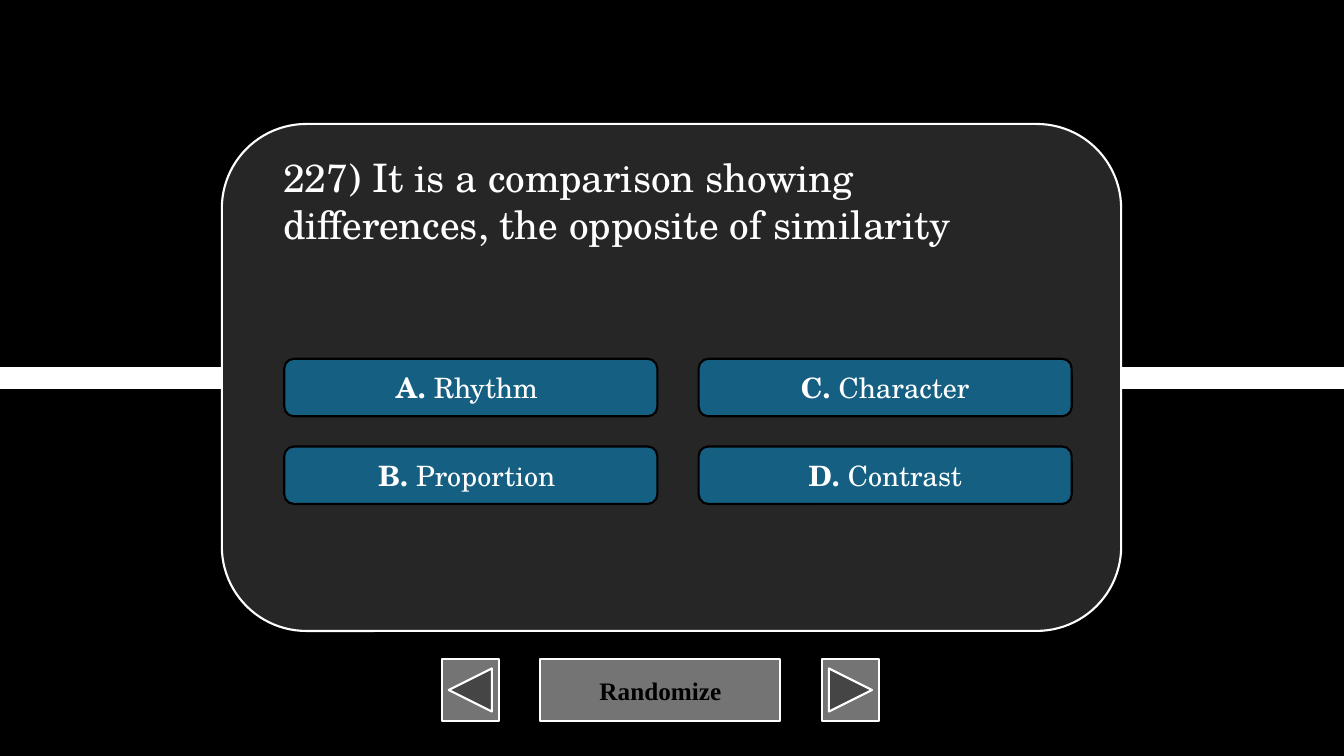
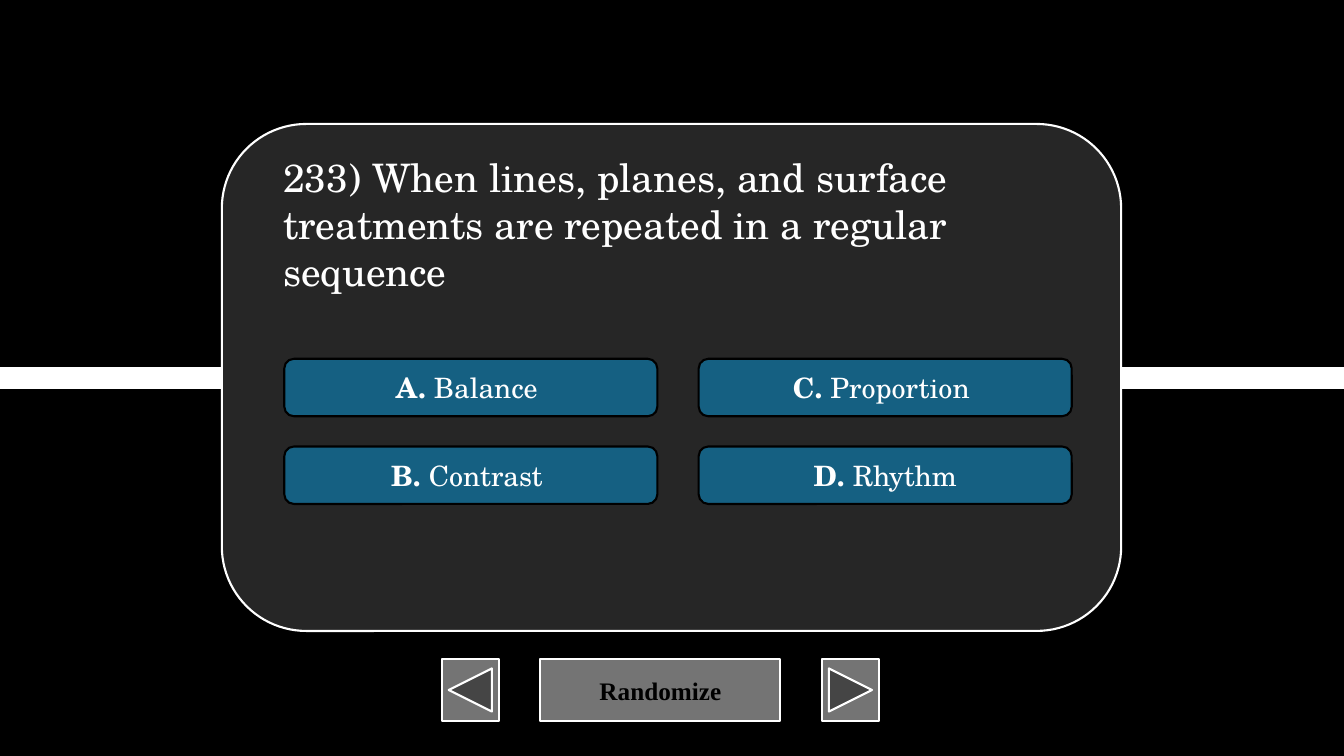
from lxml.etree import SubElement
from pptx import Presentation
from pptx.dml.color import RGBColor
from pptx.enum.shapes import MSO_CONNECTOR, MSO_SHAPE as Shape
from pptx.enum.text import MSO_ANCHOR as Anchor, MSO_AUTO_SIZE as AutoSize, PP_ALIGN as Align
from pptx.oxml.ns import qn
from pptx.util import Inches, Pt

COLORS = {
    "background": "000000",
    "card": "262626",
    "answer": "156082",
    "control": "747474",
    "light": "FFFFFF",
    "dark": "000000",
}
QUIZ_FONT = "TeX Gyre Schola"
CONTROL_FONT = "Times New Roman"
SLIDE_WIDTH, SLIDE_HEIGHT = 13.33, 7.5
CARD_BOX = (2.2, 1.23, 8.92, 5.03)
CONTROLS_BOX = (4.38, 6.54, 4.34, 0.61)

QUESTIONS = [
    ("227) It is a comparison showing differences, the opposite of similarity", 1.04,
     ["Rhythm ", "Proportion ", "Character", "Contrast"]),
    ("233) When lines, planes, and surface treatments are repeated in a regular sequence", 1.51,
     ["Balance ", "Contrast ", "Proportion ", "Rhythm"]),
]


def color(name):
    return RGBColor.from_string(COLORS[name])


def write_text(shape, *runs, size, font=QUIZ_FONT, ink="light",
               align=Align.CENTER, anchor=Anchor.MIDDLE):
    """Fill a shape with one paragraph made of (text, bold) runs."""
    frame = shape.text_frame
    frame.word_wrap = True
    frame.vertical_anchor = anchor
    paragraph = frame.paragraphs[0]
    paragraph.alignment = align
    for text, bold in runs:
        run = paragraph.add_run()
        run.text = text
        run.font.name = font
        run.font.size = Pt(size)
        run.font.bold = bold
        run.font.color.rgb = color(ink)


def add_panel(slide, kind, box, fill, line):
    shape = slide.shapes.add_shape(kind, *map(Inches, box))
    shape.shadow.inherit = False
    shape.fill.solid()
    shape.fill.fore_color.rgb = color(fill)
    shape.line.color.rgb = color(line)
    shape.line.width = Pt(1.5)
    return shape


def add_backdrop(slide):
    slide.background.fill.solid()
    slide.background.fill.fore_color.rgb = color("background")
    middle = Inches(SLIDE_HEIGHT / 2)
    band = slide.shapes.add_connector(
        MSO_CONNECTOR.STRAIGHT, 0, middle, Inches(SLIDE_WIDTH), middle)
    band.line.color.rgb = color("light")
    band.line.width = Pt(16)
    SubElement(band._element.spPr, qn("a:effectLst"))


def add_controls(slide, box):
    left, top, width, height = box
    arrow_width, gap = 0.57, 0.41
    randomize_width = width - 2 * (arrow_width + gap)
    randomize = add_panel(
        slide, Shape.ACTION_BUTTON_CUSTOM,
        (left + arrow_width + gap, top, randomize_width, height), "control", "light")
    write_text(randomize, ("Randomize", True), size=18, font=CONTROL_FONT, ink="dark")
    for kind, arrow_left in (
        (Shape.ACTION_BUTTON_BACK_OR_PREVIOUS, left),
        (Shape.ACTION_BUTTON_FORWARD_OR_NEXT, left + width - arrow_width),
    ):
        add_panel(slide, kind, (arrow_left, top, arrow_width, height), "control", "light")


def add_answers(slide, left, top, answers):
    """Lay out lettered answers in two columns, filled downwards."""
    width, height = 3.7, 0.57
    column_step, row_step = 4.11, 0.87
    for index, (letter, answer) in enumerate(zip("ABCD", answers)):
        column, row = divmod(index, 2)
        box = (left + column * column_step, top + row * row_step, width, height)
        button = add_panel(slide, Shape.ROUNDED_RECTANGLE, box, "answer", "dark")
        write_text(button, (f"{letter}. ", True), (answer, False), size=20)


def add_question_card(slide, box, question, question_height, answers):
    left, top, width, _ = box
    add_panel(slide, Shape.ROUNDED_RECTANGLE, box, "card", "light")
    add_answers(slide, left + 0.62, top + 2.33, answers)
    question_box = (left + 0.51, top + 0.24, width - 1, question_height)
    title = slide.shapes.add_textbox(*map(Inches, question_box))
    write_text(title, (question, False), size=28, align=Align.LEFT, anchor=Anchor.TOP)
    title.text_frame.auto_size = AutoSize.SHAPE_TO_FIT_TEXT


def add_quiz_slide(presentation, question, question_height, answers):
    slide = presentation.slides.add_slide(presentation.slide_layouts[6])
    add_backdrop(slide)
    add_controls(slide, CONTROLS_BOX)
    add_question_card(slide, CARD_BOX, question, question_height, answers)


def main():
    presentation = Presentation()
    presentation.slide_width = Inches(SLIDE_WIDTH)
    presentation.slide_height = Inches(SLIDE_HEIGHT)
    for entry in QUESTIONS:
        add_quiz_slide(presentation, *entry)
    presentation.save("out.pptx")


if __name__ == "__main__":
    main()
